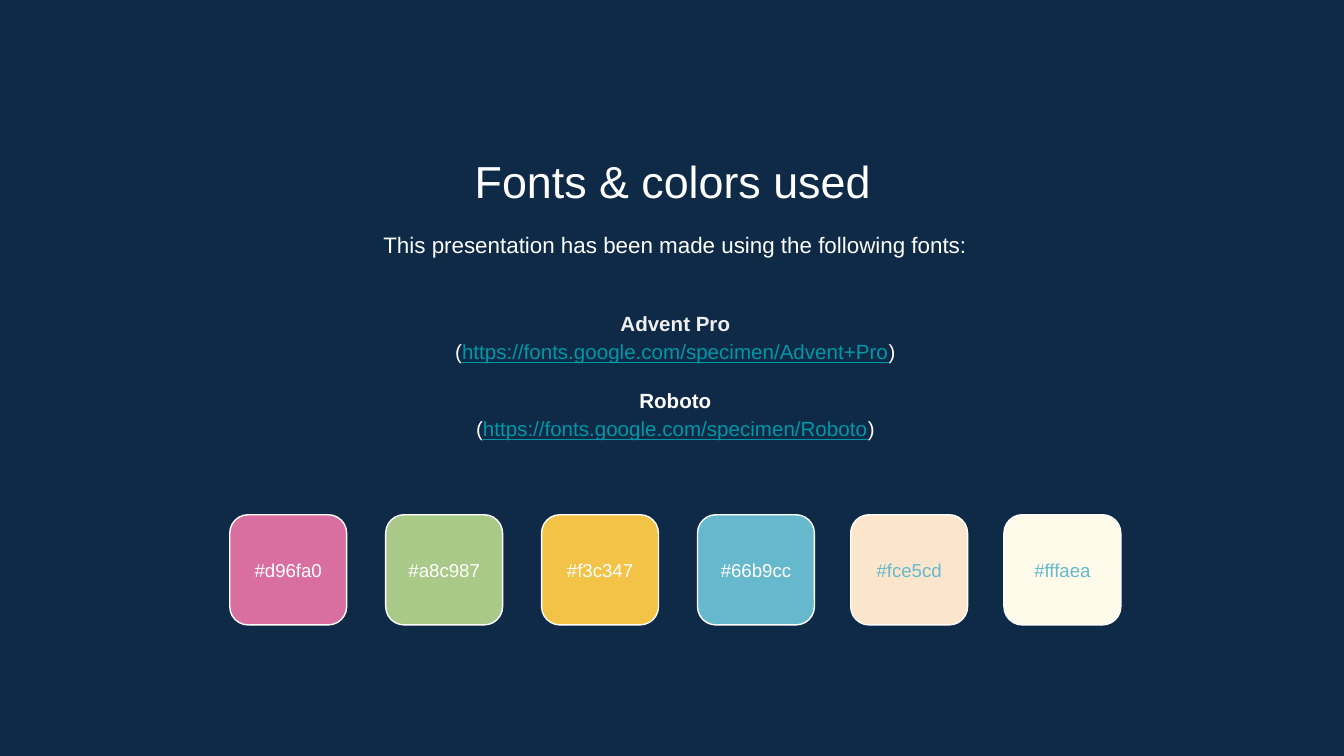
import dataclasses

import pptx
import pptx.dml.color
import pptx.enum.shapes
import pptx.enum.text
import pptx.util

Inches = pptx.util.Inches
Pt = pptx.util.Pt


@dataclasses.dataclass(frozen=True)
class Theme:
    """Colours, font and type sizes of the slide."""
    font: str = "Arial"
    background: str = "0E2A47"
    white: str = "FFFFFF"
    soft_white: str = "EFEFEF"
    link: str = "0097A7"
    sky: str = "66B9CC"
    title_size: int = 24
    intro_size: int = 12
    body_size: int = 11
    label_size: int = 10


THEME = Theme()
FONTS = [
    ("Advent Pro", "https://fonts.google.com/specimen/Advent+Pro", THEME.soft_white),
    ("Roboto", "https://fonts.google.com/specimen/Roboto", THEME.white),
]
BRIGHT_COLORS = ["d96fa0", "a8c987", "f3c347", "66b9cc"]
PALE_COLORS = ["fce5cd", "fffaea"]


def rgb(code):
    """Turn a hex code into a colour."""
    return pptx.dml.color.RGBColor.from_string(code.upper())


def style_span(span, size, color, bold=False, underline=False):
    """Format one run of text."""
    span.font.name = THEME.font
    span.font.size = Pt(size)
    span.font.color.rgb = rgb(color)
    span.font.bold = bold
    span.font.underline = underline


def add_span(para, text, color, bold=False, underline=False):
    """Append a body-size run to a paragraph."""
    span = para.add_run()
    span.text = text
    style_span(span, THEME.body_size, color, bold, underline)


def prepare_frame(shape, anchor):
    """Set wrapping, insets and anchor of a shape's text and return its frame."""
    frame = shape.text_frame
    frame.word_wrap = True
    frame.auto_size = pptx.enum.text.MSO_AUTO_SIZE.NONE
    frame.vertical_anchor = anchor
    frame.margin_left = frame.margin_right = Inches(0.1)
    frame.margin_top = frame.margin_bottom = Inches(0.1)
    return frame


def center(para, line_spacing=1.0):
    """Centre a paragraph and set its line spacing."""
    para.alignment = pptx.enum.text.PP_ALIGN.CENTER
    para.line_spacing = line_spacing


def set_line(shape, text, size, color, anchor, line_spacing=1.0):
    """Fill a shape with one centred line of text."""
    frame = prepare_frame(shape, anchor)
    frame.text = text
    para = frame.paragraphs[0]
    center(para, line_spacing)
    style_span(para.runs[0], size, color)


def add_title(page, text):
    """Place and format the title placeholder."""
    title = page.shapes.title
    title.left, title.top = Inches(1.15), Inches(1.04)
    title.width, title.height = Inches(7.71), Inches(0.53)
    set_line(title, text, THEME.title_size, THEME.white, pptx.enum.text.MSO_ANCHOR.TOP)


def add_intro(page, text):
    """Add the sentence below the title."""
    box = page.shapes.add_textbox(Inches(1.17), Inches(1.59), Inches(7.71), Inches(0.48))
    set_line(box, text, THEME.intro_size, THEME.white, pptx.enum.text.MSO_ANCHOR.TOP, 1.15)


def add_font_list(page, fonts):
    """Add each font name with its address below it."""
    box = page.shapes.add_textbox(Inches(1.17), Inches(2.1), Inches(7.71), Inches(1.37))
    frame = prepare_frame(box, pptx.enum.text.MSO_ANCHOR.MIDDLE)
    for index, (name, address, color) in enumerate(fonts):
        heading = frame.add_paragraph() if index else frame.paragraphs[0]
        center(heading, 1.15)
        if index:
            heading.space_before = Pt(11)
        add_span(heading, name, color, bold=True)
        source = frame.add_paragraph()
        center(source, 1.15)
        add_span(source, "(", THEME.white)
        add_span(source, address, THEME.link, underline=True)
        add_span(source, ")", THEME.white)


def add_swatches(page, colors, left, step, label_color):
    """Add a row of labelled colour swatches at equal steps."""
    for index, color in enumerate(colors):
        swatch = page.shapes.add_shape(
            pptx.enum.shapes.MSO_SHAPE.ROUNDED_RECTANGLE,
            Inches(left + index * step), Inches(3.83), Inches(0.87), Inches(0.82))
        swatch.shadow.inherit = False
        swatch.fill.solid()
        swatch.fill.fore_color.rgb = rgb(color)
        swatch.line.color.rgb = rgb(THEME.white)
        swatch.line.width = Pt(0.75)
        set_line(swatch, f"#{color}", THEME.label_size, label_color,
                 pptx.enum.text.MSO_ANCHOR.MIDDLE)


def main():
    """Build the slide and save it."""
    deck = pptx.Presentation()
    deck.slide_width = Inches(10)
    deck.slide_height = deck.slide_width * 9 // 16
    page = deck.slides.add_slide(deck.slide_layouts.get_by_name("Title Only"))
    page.background.fill.solid()
    page.background.fill.fore_color.rgb = rgb(THEME.background)
    add_title(page, "Fonts & colors used")
    add_intro(page, "This presentation has been made using the following fonts:")
    add_font_list(page, FONTS)
    add_swatches(page, BRIGHT_COLORS, 1.71, 1.16, THEME.white)
    add_swatches(page, PALE_COLORS, 6.33, 1.14, THEME.sky)
    deck.save("out.pptx")


if __name__ == "__main__":
    main()
